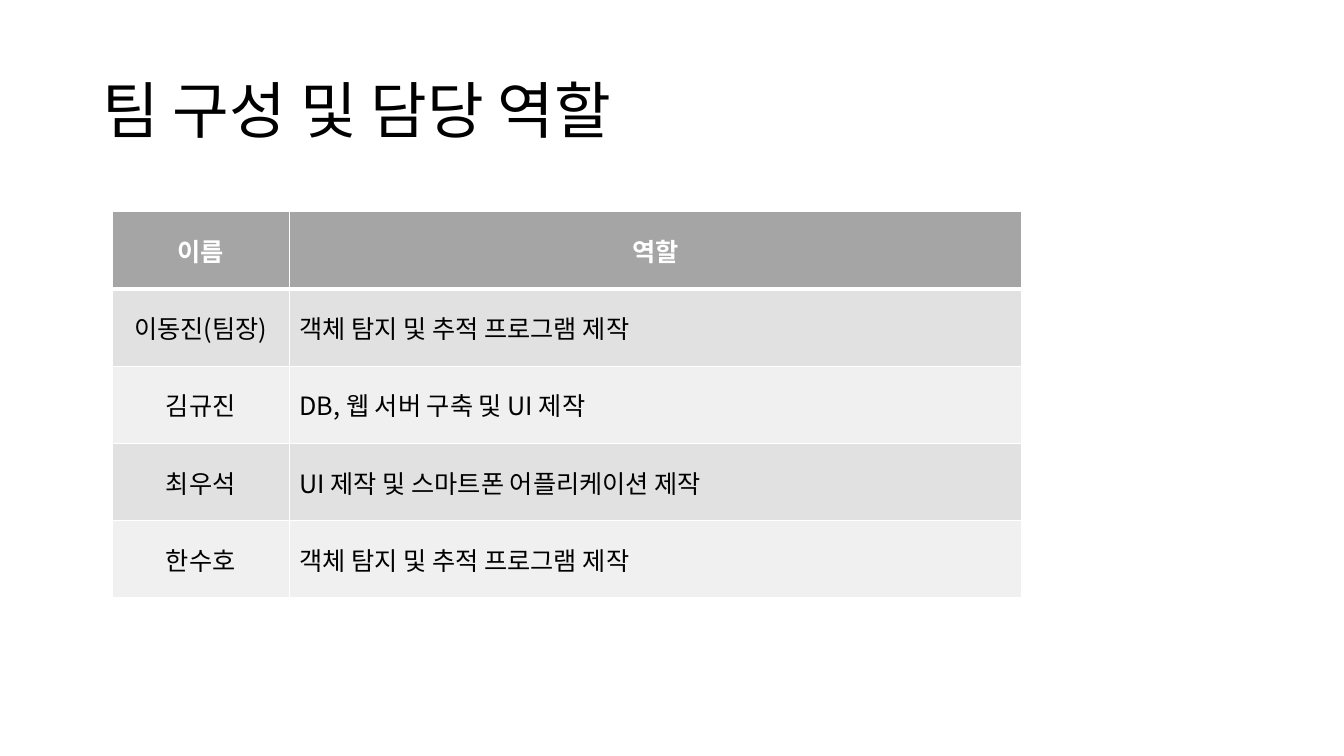
import pptx
import pptx.dml.color
import pptx.enum.text
import pptx.oxml.ns
import pptx.util
from dataclasses import dataclass
from lxml import etree

Pt = pptx.util.Pt
ALIGN = pptx.enum.text.PP_ALIGN
MIDDLE = pptx.enum.text.MSO_ANCHOR.MIDDLE


@dataclass(frozen=True)
class Theme:
    font: str = "Noto Sans CJK KR"
    title_size: float = 44
    table_size: float = 18
    text: str = "000000"
    header_text: str = "FFFFFF"
    header_fill: str = "A5A5A5"
    band_fills: tuple = ("E1E1E1", "F0F0F0")
    border: str = "FFFFFF"


THEME = Theme()
HEADINGS = ("이름", "역할")
MEMBERS = (
    ("이동진(팀장)", "객체 탐지 및 추적 프로그램 제작"),
    ("김규진", "DB, 웹 서버 구축 및 UI 제작"),
    ("최우석", "UI 제작 및 스마트폰 어플리케이션 제작"),
    ("한수호", "객체 탐지 및 추적 프로그램 제작"),
)
COLUMN_WIDTHS = (126.8, 522.6)
ROW_HEIGHT = 55.2


def apply(target, values):
    for name, value in values.items():
        setattr(target, name, value)


def add_child(parent, tag, **attributes):
    return etree.SubElement(parent, pptx.oxml.ns.qn(tag), attributes)


def write(frame, text, size, color, align, bold=False):
    """Put one formatted paragraph in a text frame."""
    paragraph = frame.paragraphs[0]
    paragraph.alignment = align
    run = paragraph.add_run()
    run.text = text
    apply(run.font, {"name": THEME.font, "size": Pt(size), "bold": bold})
    run.font.color.rgb = pptx.dml.color.RGBColor.from_string(color)
    # Hangul takes its typeface from the East Asian slot
    add_child(run.font._element, "a:ea", typeface=THEME.font)
    return paragraph


def set_borders(cell, widths):
    """Draw the sides, which come before the fill in the cell properties."""
    properties = cell._tc.get_or_add_tcPr()
    for side, width in widths.items():
        line = add_child(properties, f"a:ln{side}", w=str(Pt(width)))
        paint = add_child(line, "a:solidFill")
        add_child(paint, "a:srgbClr", val=THEME.border)


def fill_cell(cell, text, fill, color, align, bold, widths):
    set_borders(cell, widths)
    cell.fill.solid()
    cell.fill.fore_color.rgb = pptx.dml.color.RGBColor.from_string(fill)
    cell.vertical_anchor = MIDDLE
    write(cell.text_frame, text, THEME.table_size, color, align, bold)


def add_title(slide, text):
    heading = slide.shapes.title
    apply(heading, {"left": Pt(66), "top": Pt(28.75),
                    "width": Pt(828), "height": Pt(104.4)})
    apply(heading.text_frame, {
        "word_wrap": True,
        "vertical_anchor": MIDDLE,
        "auto_size": pptx.enum.text.MSO_AUTO_SIZE.NONE,
    })
    paragraph = write(heading.text_frame, text, THEME.title_size,
                      THEME.text, ALIGN.LEFT)
    paragraph.line_spacing = 0.9


def add_role_table(slide):
    rows = (HEADINGS,) + MEMBERS
    roles = slide.shapes.add_table(
        len(rows), len(HEADINGS), Pt(80), Pt(151.2),
        Pt(sum(COLUMN_WIDTHS)), Pt(ROW_HEIGHT * len(rows))).table
    for column, width in zip(roles.columns, COLUMN_WIDTHS):
        column.width = Pt(width)
    for r, entries in enumerate(rows):
        roles.rows[r].height = Pt(ROW_HEIGHT)
        header = r == 0
        fill = THEME.header_fill if header else THEME.band_fills[(r - 1) % 2]
        color = THEME.header_text if header else THEME.text
        # The rule under the header is heavier than the others
        widths = {"L": 1, "R": 1, "T": 3 if r == 1 else 1,
                  "B": 3 if header else 1}
        for c, text in enumerate(entries):
            align = ALIGN.CENTER if header or c == 0 else ALIGN.LEFT
            fill_cell(roles.cell(r, c), text, fill, color, align, header,
                      widths)


def main():
    deck = pptx.Presentation()
    apply(deck, {"slide_width": Pt(960), "slide_height": Pt(540)})
    # Title Only layout
    slide = deck.slides.add_slide(deck.slide_layouts[5])
    add_title(slide, "팀 구성 및 담당 역할")
    add_role_table(slide)
    deck.save("out.pptx")


if __name__ == "__main__":
    main()
